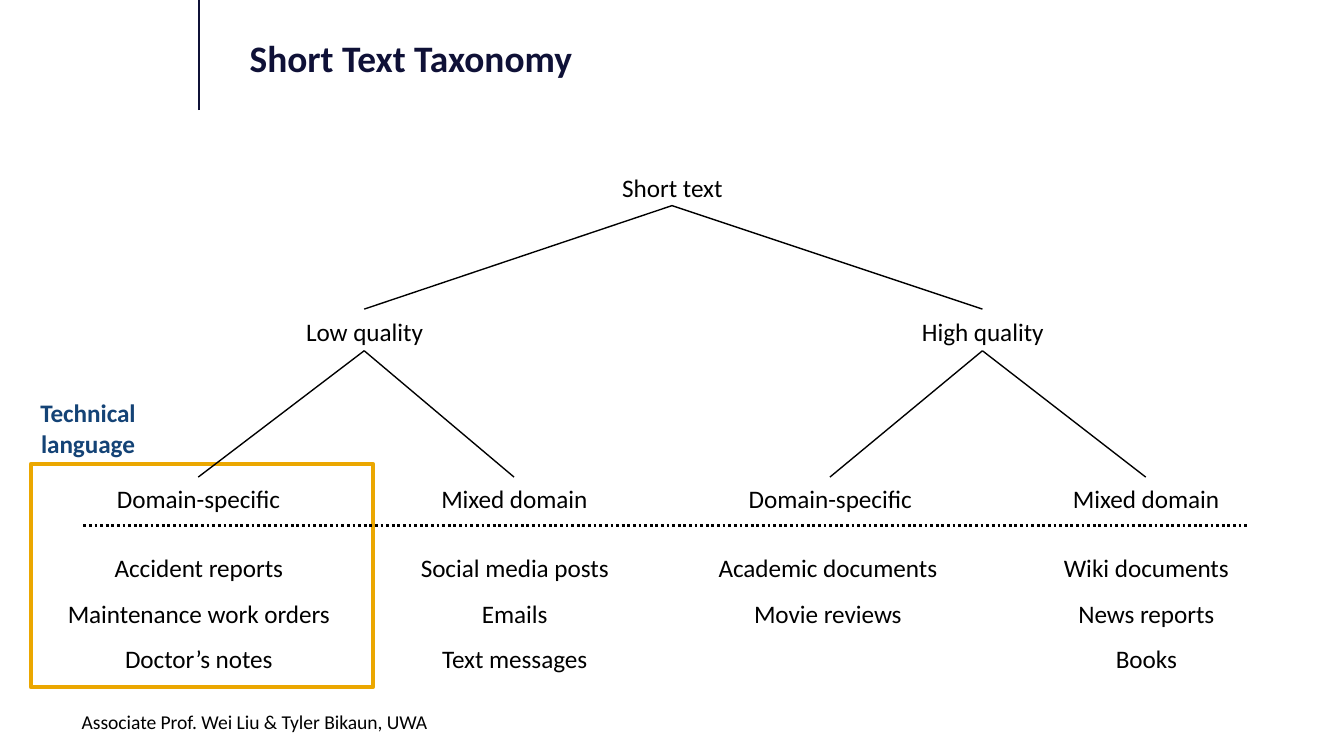
import pptx
import pptx.util
import pptx.dml.color
import pptx.enum.dml
import pptx.enum.shapes
import pptx.enum.text
import lxml.etree
from dataclasses import dataclass


@dataclass(frozen=True)
class Theme:
    """Colours, font and type sizes."""
    font: str = "Calibri"
    black: str = "000000"
    white: str = "FFFFFF"
    navy: str = "0F1137"
    blue: str = "144376"
    gold: str = "EBA700"
    title: float = 20
    body: float = 13.5
    small: float = 10.5


THEME = Theme()
SCALE = 4572
WIDTH, HEIGHT = 2000, 1125
ROOT = 1000
COLS = [295 + 470 * i for i in range(4)]
GROUPS = [("Low quality", 542, COLS[:2]), ("High quality", 1462, COLS[2:])]
LEAVES = [
    ("Domain-specific", 296, ["Accident reports", "Maintenance work orders", "Doctor’s notes"]),
    ("Mixed domain", 766, ["Social media posts", "Emails", "Text messages"]),
    ("Domain-specific", 1232, ["Academic documents", "Movie reviews"]),
    ("Mixed domain", 1706, ["Wiki documents", "News reports", "Books"]),
]


def px(*nums):
    """Turn px lengths into EMU."""
    return [pptx.util.Emu(num * SCALE) for num in nums]


def rgb(code):
    """Turn a hex code into a colour."""
    return pptx.dml.color.RGBColor.from_string(code)


def add_text(slide, rect, lines, size=THEME.body, color=THEME.black, bold=False,
             center=True, space=None):
    """Add a text box with one paragraph per line."""
    frame = slide.shapes.add_textbox(*px(*rect)).text_frame
    frame.word_wrap = True
    frame.text = "\n".join(lines)
    align = pptx.enum.text.PP_ALIGN
    for para in frame.paragraphs:
        para.alignment = align.CENTER if center else align.LEFT
        if space:
            para.line_spacing = space
        for run in para.runs:
            run.font.name = THEME.font
            run.font.size = pptx.util.Pt(size)
            run.font.bold = bold
            run.font.color.rgb = rgb(color)


def add_label(slide, mid, top, text):
    """Add a tree label centred on a point."""
    add_text(slide, (mid - 222, top, 445, 66), [text])


def add_line(slide, start, end, color=THEME.black, weight=0.75, dash=None):
    """Add a straight line without shadow."""
    kind = pptx.enum.shapes.MSO_CONNECTOR.STRAIGHT
    line = slide.shapes.add_connector(kind, *px(*start, *end))
    line.line.color.rgb = rgb(color)
    line.line.width = pptx.util.Pt(weight)
    if dash:
        line.line.dash_style = dash
    props = line._element.spPr
    lxml.etree.SubElement(props, pptx.oxml.ns.qn("a:effectLst"))


def add_frame(slide, rect):
    """Add the gold outlined box."""
    kind = pptx.enum.shapes.MSO_SHAPE.RECTANGLE
    box = slide.shapes.add_shape(kind, *px(*rect))
    box.shadow.inherit = False
    box.fill.solid()
    box.fill.fore_color.rgb = rgb(THEME.white)
    box.line.color.rgb = rgb(THEME.gold)
    box.line.width = pptx.util.Pt(2)


def add_tree(slide):
    """Add the branches, labels and examples."""
    add_label(slide, ROOT, 246, "Short text")
    for name, mid, cols in GROUPS:
        add_label(slide, mid, 461, name)
        add_line(slide, (ROOT, 306), (mid, 460))
        for col in cols:
            add_line(slide, (mid, 522), (col, 710))
    dots = pptx.enum.dml.MSO_LINE.ROUND_DOT
    add_line(slide, (124, 782), (1858, 782), weight=1.5, dash=dots)
    for col, (name, mid, items) in zip(COLS, LEAVES):
        add_label(slide, col, 710, name)
        add_text(slide, (mid - 246, 790, 492, 20 + 68 * len(items)), items, space=1.5)


def main():
    """Build and save the slide."""
    deck = pptx.Presentation()
    deck.slide_width, deck.slide_height = px(WIDTH, HEIGHT)
    slide = deck.slides.add_slide(deck.slide_layouts[6])
    add_line(slide, (296, 164), (296, 0), THEME.navy, 1.25)
    add_frame(slide, (46, 690, 509, 333))
    add_tree(slide)
    add_text(slide, (-18, 582, 298, 112), ["Technical language"], color=THEME.blue, bold=True)
    add_text(slide, (352, 42, 1520, 98), ["Short Text Taxonomy"], THEME.title,
             THEME.navy, bold=True, center=False)
    add_text(slide, (102, 1047, 1520, 48), ["Associate Prof. Wei Liu & Tyler Bikaun, UWA"],
             THEME.small, center=False)
    deck.save("out.pptx")


if __name__ == "__main__":
    main()
